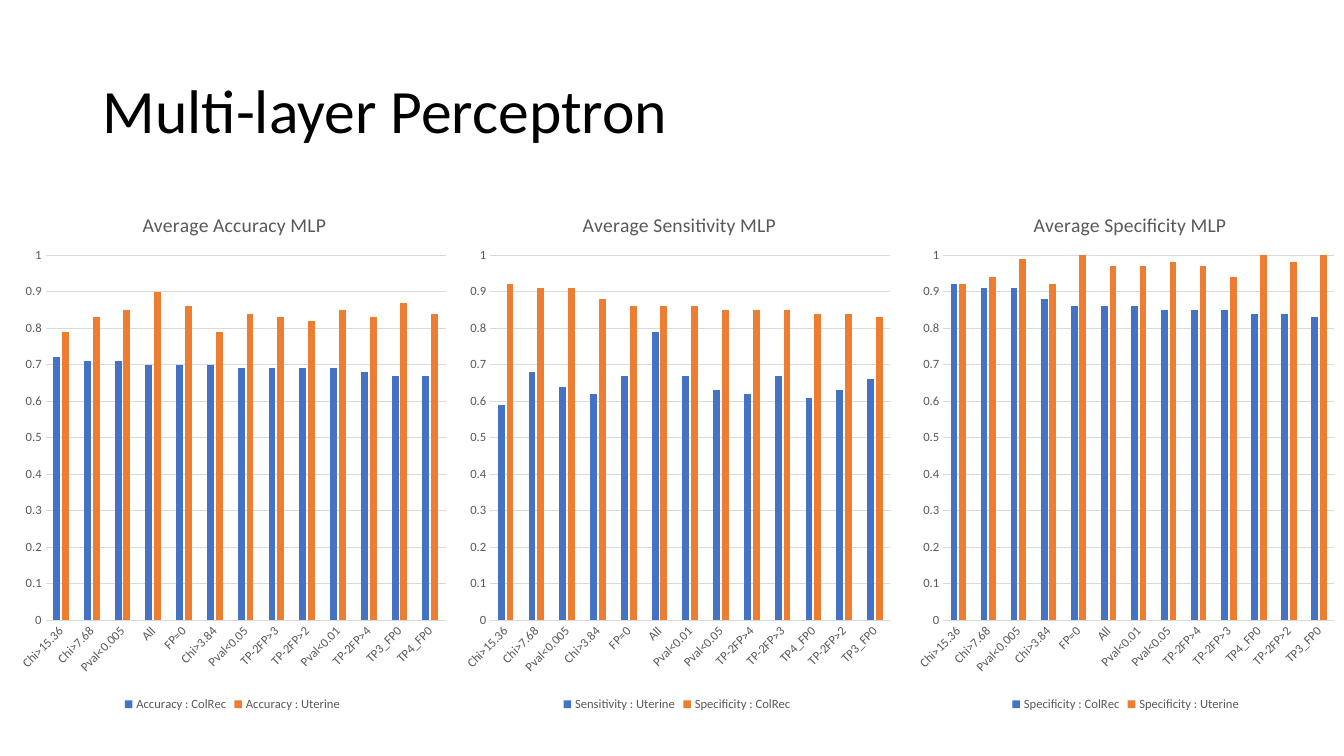
from lxml import etree
from pptx import Presentation
from pptx.chart.data import CategoryChartData
from pptx.dml.color import RGBColor
from pptx.enum.chart import XL_CHART_TYPE, XL_LEGEND_POSITION, XL_TICK_MARK
from pptx.enum.text import MSO_ANCHOR
from pptx.oxml.ns import qn
from pptx.util import Inches, Pt

FONT = "Calibri"
COLORS = {"title": "000000", "label": "595959", "grid": "D9D9D9",
          "first": "4472C4", "second": "ED7D31"}


def style_font(font, size, color):
    """Set typeface, point size and colour of a font."""
    font.name, font.size, font.bold = FONT, Pt(size), False
    font.color.rgb = RGBColor.from_string(COLORS[color])


def place(parent, index, **fractions):
    """Give a chart part a manual layout in fractions of the chart."""
    layout = parent.find(qn("c:layout"))
    if layout is None:
        layout = etree.Element(qn("c:layout"))
        parent.insert(index, layout)
    manual = etree.SubElement(layout, qn("c:manualLayout"))
    if "w" in fractions:
        etree.SubElement(manual, qn("c:layoutTarget")).set("val", "inner")
    for axis in ("x", "y"):
        etree.SubElement(manual, qn(f"c:{axis}Mode")).set("val", "edge")
    for name, value in fractions.items():
        etree.SubElement(manual, qn(f"c:{name}")).set("val", str(value))


ACCURACY_FILTERS = ["Chi>15.36", "Chi>7.68", "Pval<0.005", "All", "FP=0", "Chi>3.84",
                    "Pval<0.05", "TP-2FP>3", "TP-2FP>2", "Pval<0.01", "TP-2FP>4",
                    "TP3_FP0", "TP4_FP0"]
FILTERS = ["Chi>15.36", "Chi>7.68", "Pval<0.005", "Chi>3.84", "FP=0", "All",
           "Pval<0.01", "Pval<0.05", "TP-2FP>4", "TP-2FP>3", "TP4_FP0",
           "TP-2FP>2", "TP3_FP0"]
COLREC_SPECIFICITY = [0.92, 0.91, 0.91, 0.88, 0.86, 0.86, 0.86, 0.85, 0.85, 0.85,
                      0.84, 0.84, 0.83]

# Measure, left, width, title offset, categories, series
CHARTS = [
    ("Accuracy", 0.1, 4.41, 0.29, ACCURACY_FILTERS, {
        "Accuracy : ColRec": [0.72, 0.71, 0.71, 0.7, 0.7, 0.7, 0.69, 0.69, 0.69,
                              0.69, 0.68, 0.67, 0.67],
        "Accuracy : Uterine": [0.79, 0.83, 0.85, 0.9, 0.86, 0.79, 0.84, 0.83, 0.82,
                               0.85, 0.83, 0.87, 0.84]}),
    ("Sensitivity", 4.51, 4.41, 0.28, FILTERS, {
        "Sensitivity : Uterine": [0.59, 0.68, 0.64, 0.62, 0.67, 0.79, 0.67, 0.63,
                                  0.62, 0.67, 0.61, 0.63, 0.66],
        "Specificity : ColRec": COLREC_SPECIFICITY}),
    ("Specificity", 9.01, 4.31, 0.28, FILTERS, {
        "Specificity : ColRec": COLREC_SPECIFICITY,
        "Specificity : Uterine": [0.92, 0.94, 0.99, 0.92, 1, 0.97, 0.97, 0.98, 0.97,
                                  0.94, 1, 0.98, 1]}),
]

prs = Presentation()
prs.slide_width, prs.slide_height = Inches(13.33), Inches(7.5)
slide = prs.slides.add_slide(prs.slide_layouts[6])

heading = slide.shapes.add_textbox(Inches(0.92), Inches(0.4), Inches(11.5), Inches(1.45))
frame = heading.text_frame
frame.word_wrap = True
frame.vertical_anchor = MSO_ANCHOR.MIDDLE
paragraph = frame.paragraphs[0]
paragraph.line_spacing = 0.9
run = paragraph.add_run()
run.text = "Multi-layer Perceptron"
style_font(run.font, 44, "title")

for measure, left, width, title_x, categories, series in CHARTS:
    data = CategoryChartData()
    data.categories = categories
    for name, values in series.items():
        data.add_series(name, values)
    chart = slide.shapes.add_chart(XL_CHART_TYPE.COLUMN_CLUSTERED, Inches(left),
                                   Inches(1.85), Inches(width), Inches(5.25), data).chart
    style_font(chart.font, 10, "title")

    chart.has_title = True
    run = chart.chart_title.text_frame.paragraphs[0].add_run()
    run.text = f"Average {measure} MLP"
    style_font(run.font, 14, "label")
    chart.chart_title.include_in_layout = False
    place(chart.chart_title._element, 1, x=title_x, y=0.04)

    chart.has_legend = True
    chart.legend.position = XL_LEGEND_POSITION.BOTTOM
    chart.legend.include_in_layout = False
    style_font(chart.legend.font, 9, "label")

    plot = chart.plots[0]
    plot.vary_by_categories = False
    plot.gap_width, plot.overlap = 219, -27
    for bars, color in zip(plot.series, ("first", "second")):
        bars.format.fill.solid()
        bars.format.fill.fore_color.rgb = RGBColor.from_string(COLORS[color])
        bars.invert_if_negative = False

    values_axis, filter_axis = chart.value_axis, chart.category_axis
    for axis in (values_axis, filter_axis):
        axis.major_tick_mark = axis.minor_tick_mark = XL_TICK_MARK.NONE
        style_font(axis.tick_labels.font, 9, "label")
    values_axis.minimum_scale, values_axis.maximum_scale = 0, 1
    values_axis.major_unit = 0.1
    values_axis.tick_labels.number_format = "General"
    values_axis.tick_labels.number_format_is_linked = False
    values_axis.format.line.fill.background()
    for line in (values_axis.major_gridlines.format.line, filter_axis.format.line):
        line.color.rgb = RGBColor.from_string(COLORS["grid"])
        line.width = Pt(0.75)
    label_body = filter_axis._element.find(qn("c:txPr")).find(qn("a:bodyPr"))
    label_body.set("rot", "-2700000")
    label_body.set("vert", "horz")

    plot_area = chart._chartSpace.chart.plotArea
    place(plot_area, 0, x=0.08, y=0.13, w=0.9, h=0.69)

prs.save("out.pptx")
